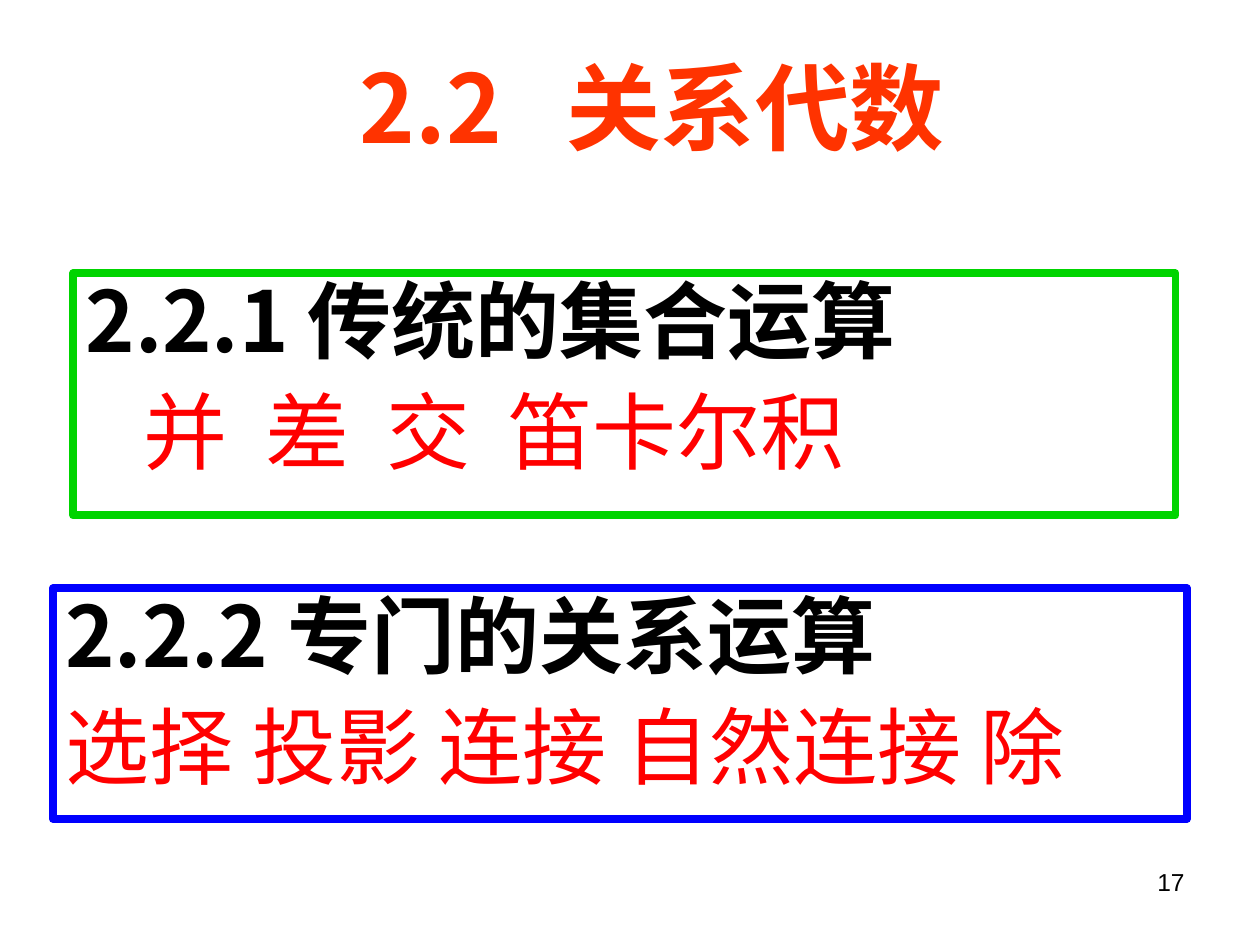
from lxml import etree
from pptx import Presentation
from pptx.dml.color import RGBColor
from pptx.enum.shapes import MSO_SHAPE
from pptx.enum.text import MSO_ANCHOR, PP_ALIGN
from pptx.oxml.ns import qn
from pptx.util import Inches, Pt

RECT = MSO_SHAPE.RECTANGLE
TOP, MIDDLE = MSO_ANCHOR.TOP, MSO_ANCHOR.MIDDLE
LEFT, CENTER, RIGHT = PP_ALIGN.LEFT, PP_ALIGN.CENTER, PP_ALIGN.RIGHT

COLORS = {"title": "FF3300", "heading": "000000", "items": "FF0000",
          "green": "00D400", "blue": "0000FF", "paper": "FFFFFF"}
TITLE_FONT, BODY_FONT, NUMBER_FONT = "Noto Sans CJK JP", "Noto Sans CJK SC", "Arial"

TITLE = "2.2   关系代数"
PAGE_NUMBER = "17"
SECTIONS = [
    {"heading": "2.2.1 传统的集合运算", "items": "并  差  交  笛卡尔积",
     "indent": 0.46, "line": "green", "box": (0.58, 2.17, 8.75, 1.92)},
    {"heading": "2.2.2 专门的关系运算", "items": "选择 投影 连接 自然连接 除",
     "indent": 0, "line": "blue", "box": (0.42, 4.67, 9, 1.83)},
]


def rgb(name):
    return RGBColor.from_string(COLORS[name])


def style(p, font, size, color, bold=False, align=LEFT):
    """Format a paragraph's runs, for Latin and East Asian text alike."""
    p.alignment = align
    for r in p.runs:
        r.font.name, r.font.size, r.font.bold = font, Pt(size), bold
        r.font.color.rgb = rgb(color)
        latin = r.font._element.find(qn("a:latin"))
        ea = etree.Element(qn("a:ea"), typeface=font)
        latin.addnext(ea)


def add_section(s, section):
    box = s.shapes.add_shape(RECT, *map(Inches, section["box"]))
    box.shadow.inherit = False
    box.fill.solid()
    box.fill.fore_color.rgb = rgb("paper")
    box.line.color.rgb = rgb(section["line"])
    box.line.width = Pt(4.5)
    tf = box.text_frame
    tf.word_wrap = True
    tf.vertical_anchor = TOP
    tf.text = section["heading"] + "\n" + section["items"]
    heading, items = tf.paragraphs
    style(heading, BODY_FONT, 48, "heading", bold=True)
    style(items, BODY_FONT, 48, "items")
    heading.line_spacing = items.line_spacing = 0.9
    items.space_before = Pt(12)
    items._p.get_or_add_pPr().set("marL", str(Inches(section["indent"])))


prs = Presentation()
prs.slide_width, prs.slide_height = Inches(10), Inches(7.5)
s = prs.slides.add_slide(prs.slide_layouts[5])

title = s.shapes.title
title.left, title.top, title.width, title.height = map(Inches, (1.38, 0.38, 7.59, 0.92))
title.text_frame.text = TITLE
title.text_frame.vertical_anchor = MIDDLE
style(title.text_frame.paragraphs[0], TITLE_FONT, 54, "title", bold=True, align=CENTER)

for section in SECTIONS:
    add_section(s, section)

number = s.shapes.add_textbox(*map(Inches, (7.17, 6.83, 2.33, 0.52)))
number.text_frame.word_wrap = True
number.text_frame.text = PAGE_NUMBER
style(number.text_frame.paragraphs[0], NUMBER_FONT, 14, "heading", align=RIGHT)

prs.save("out.pptx")
